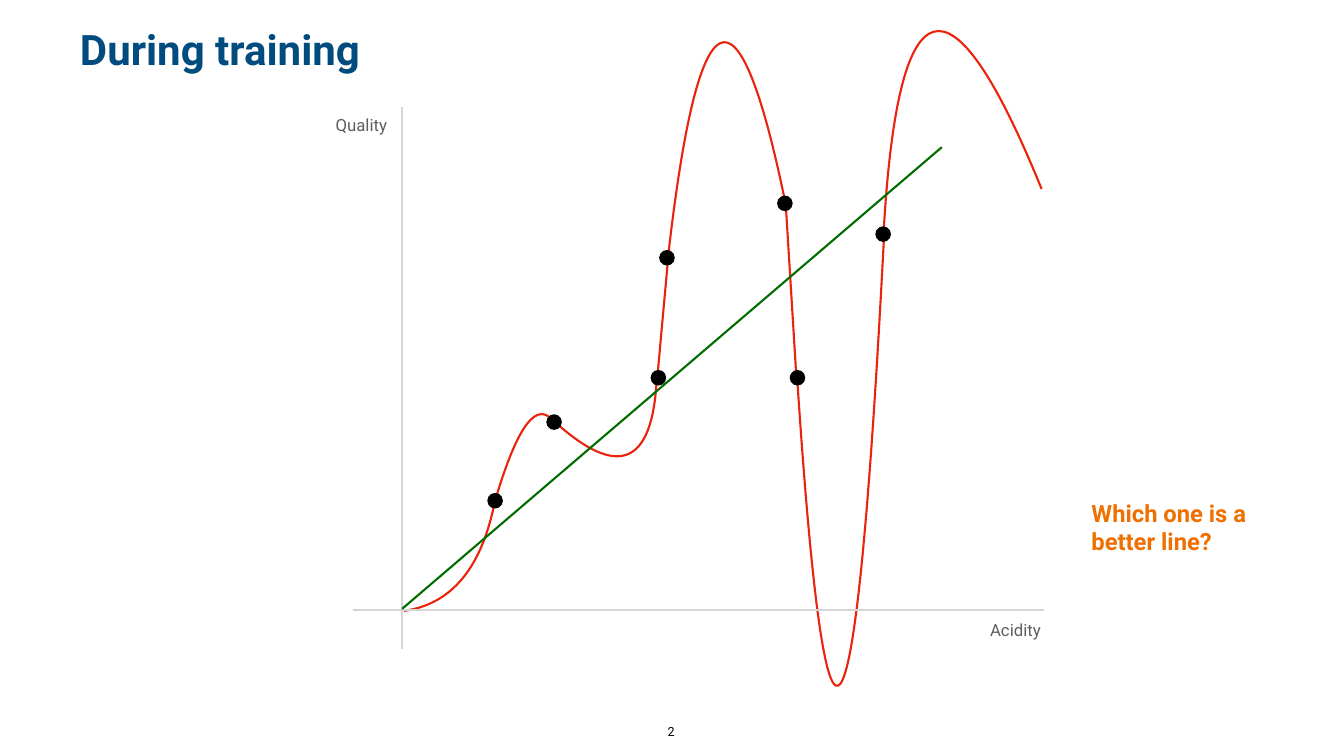
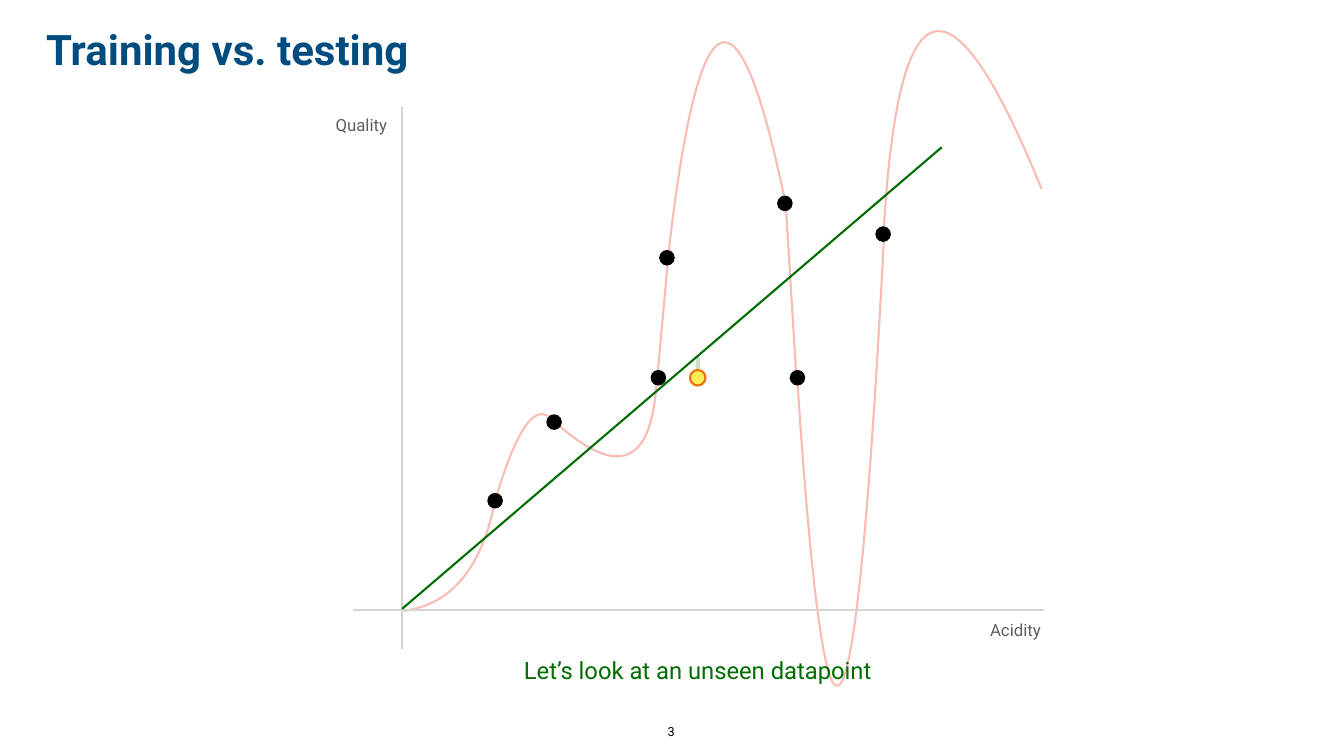
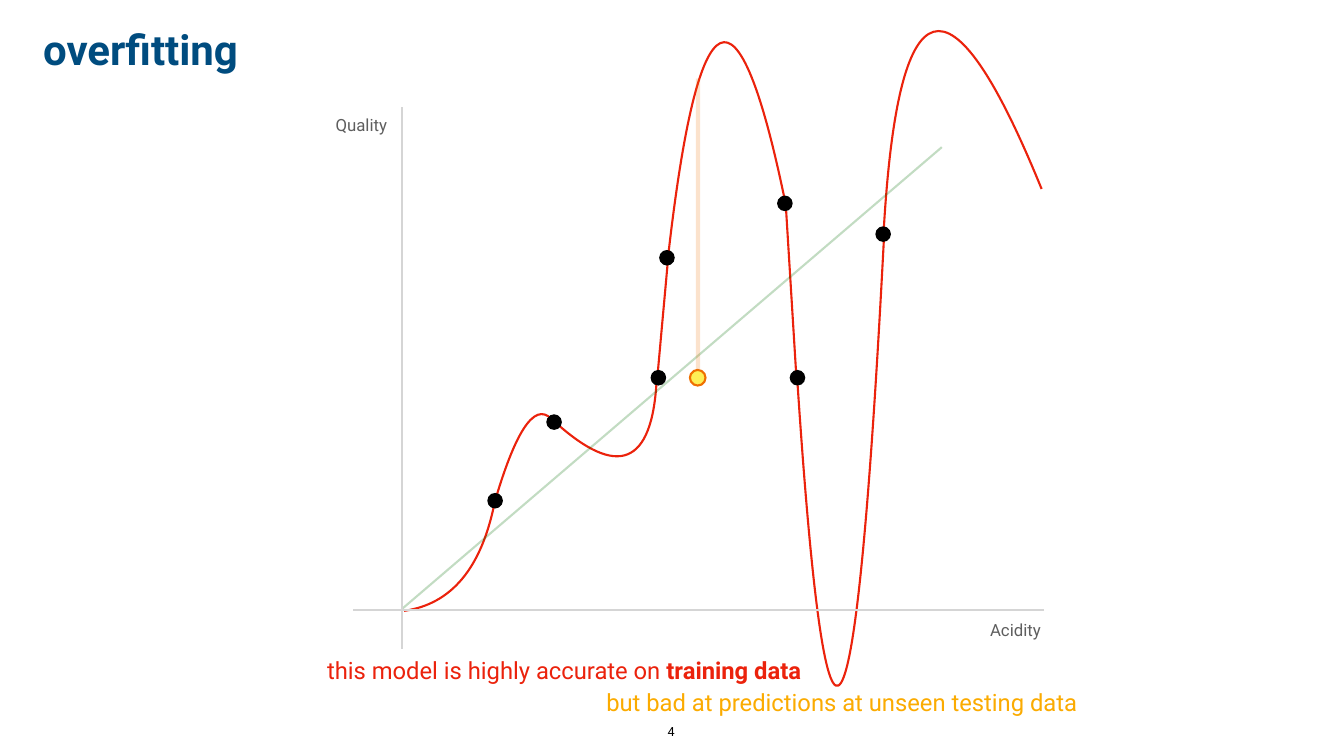
from pptx import Presentation
from pptx import util as u
from pptx.dml.color import RGBColor
from pptx.enum import shapes, text
from pptx.oxml.ns import qn
from lxml import etree

INK = {"title": "004C7F", "curve": "EB220C", "fit": "016D01", "axis": "D5D5D5",
       "label": "5E5E5E", "dot": "000000", "test": "FEEF56", "ask": "EF7001",
       "warn": "FBAB01", "page": "000000"}
FONT = "Roboto"
DOT = 0.31
TEST = (13.69, 7.34)
DOTS = [(12.91, 7.34), (13.08, 4.96), (15.67, 7.34), (9.67, 9.78),
        (10.84, 8.22), (15.42, 3.88), (17.37, 4.49)]
CURVE = [
    [(8.02, 12.12), (8.96, 11.99), (9.56, 11.27), (9.82, 9.95)],
    [(11.01, 8.4), (10.67, 7.9), (10.27, 8.42), (9.82, 9.95)],
    [(13.03, 7.55), (12.94, 9.23), (12.26, 9.5), (11.01, 8.37)],
    [(13.04, 7.53), (13.26, 5.1)],
    [(15.58, 4), (14.64, -0.55), (13.86, -0.19), (13.26, 5.07)],
    [(15.8, 7.43), (15.59, 4.02)],
    [(15.82, 7.52), (16.41, 16.48), (16.98, 15.55), (17.54, 4.74)],
    [(20.67, 3.75), (18.85, -0.72), (17.81, -0.41), (17.53, 4.69)],
]
AXES = [((7.97, 12.87), (7.97, 2.13)), ((20.72, 12.1), (7.01, 12.1))]
FIT = ((7.98, 12.08), (18.69, 2.92))
LABELS = [("Acidity", (19.56, 12.24, 1.18, 0.5)), ("Quality", (6.57, 2.23, 1.2, 0.5))]

SLIDES = [
    {"title": "During training", "wide": 7.93, "curve": 100, "fit": 100, "under": False,
     "notes": [([("Which one is a better line?", True)], (21.6, 9.84, 3.44, 1.24), "ask", "LEFT")]},
    {"title": "Training vs. testing", "wide": 8.22, "curve": 29, "fit": 100, "under": False,
     "gap": (7.07, "fit"),
     "notes": [([("Let’s look at an unseen datapoint", False)], (9.69, 12.95, 8.31, 0.68), "fit", "CENTER")]},
    {"title": "overfitting", "wide": 4.78, "curve": 100, "fit": 24, "under": True,
     "gap": (1.56, "ask"),
     "notes": [([("this model is highly accurate on ", False), ("training data", True)],
                (6.31, 12.96, 9.77, 0.67), "curve", "CENTER"),
               ([("but bad at predictions at unseen testing data", False)],
                (11.63, 13.59, 10.15, 0.68), "warn", "CENTER")]},
]


def rgb(name):
    return RGBColor.from_string(INK[name])


def stroke(line, ink, width=3, alpha=100):
    line.color.rgb = rgb(ink)
    line.width = u.Pt(width)
    if alpha < 100:
        tone = line._ln.find(".//" + qn("a:srgbClr"))
        etree.SubElement(tone, qn("a:alpha"), val=str(alpha * 1000))


def write(box, parts, size, ink, align="CENTER", anchor="MIDDLE"):
    frame = box.text_frame
    frame.word_wrap = True
    frame.auto_size = text.MSO_AUTO_SIZE.SHAPE_TO_FIT_TEXT
    frame.vertical_anchor = text.MSO_ANCHOR[anchor]
    frame.margin_left = frame.margin_right = u.Inches(0.06)
    frame.margin_top = frame.margin_bottom = u.Inches(0.06)
    para = frame.paragraphs[0]
    para.alignment = text.PP_ALIGN[align]
    for words, bold in parts:
        run = para.add_run()
        run.text = words
        run.font.name, run.font.size, run.font.bold = FONT, u.Pt(size), bold
        run.font.color.rgb = rgb(ink)


def label(slide, parts, spot, *style):
    write(slide.shapes.add_textbox(*map(u.Inches, spot)), parts, *style)


def link(slide, ends, ink, width=3, alpha=100):
    start, end = ends
    line = slide.shapes.add_connector(shapes.MSO_CONNECTOR.STRAIGHT,
                                      *map(u.Inches, start + end))
    stroke(line.line, ink, width, alpha)
    etree.SubElement(line._element.spPr, qn("a:effectLst"))


def dot(slide, spot, ink, rim=None):
    ball = slide.shapes.add_shape(shapes.MSO_SHAPE.OVAL,
                                  *map(u.Inches, spot + (DOT, DOT)))
    ball.shadow.inherit = False
    ball.fill.solid()
    ball.fill.fore_color.rgb = rgb(ink)
    if rim:
        stroke(ball.line, rim)
    else:
        ball.line.fill.background()


def bezier(knots, t):
    if len(knots) == 1:
        return knots[0]
    pairs = zip(knots, knots[1:])
    return bezier([tuple(a + (b - a) * t for a, b in zip(p, q)) for p, q in pairs], t)


def piece(group, knots, alpha):
    knots = [tuple(map(u.Inches, knot)) for knot in knots]
    steps = 60 if len(knots) == 4 else 1
    build = group.shapes.build_freeform(*knots[0])
    build.add_line_segments([bezier(knots, i / steps) for i in range(1, steps + 1)], close=False)
    part = build.convert_to_shape()
    part.shadow.inherit = False
    part.fill.background()
    stroke(part.line, "curve", 3, alpha)
    if steps > 1:
        track = part._element.find(".//" + qn("a:pathLst"))[0]
        for node in track.findall(qn("a:lnTo")):
            track.remove(node)
        bend = etree.SubElement(track, qn("a:cubicBezTo"))
        for x, y in knots[1:]:
            etree.SubElement(bend, qn("a:pt"), x=str(x - part.left), y=str(y - part.top))


def models(slide, page):
    link(slide, FIT, "fit", 3, page["fit"])
    if "gap" in page:
        top, ink = page["gap"]
        link(slide, ((13.85, 7.33), (13.85, top)), ink, 6, 20)


def draw(deck, page, number):
    slide = deck.slides.add_slide(deck.slide_layouts[5])
    head = slide.shapes.title
    head.left, head.top = u.Inches(0.4), u.Inches(0.4)
    head.width, head.height = u.Inches(page["wide"]), u.Inches(1.12)
    write(head, [(page["title"], True)], 60, "title")

    group = slide.shapes.add_group_shape()
    for knots in CURVE:
        piece(group, knots, page["curve"])
    if page["under"]:
        models(slide, page)
    for ends in AXES:
        link(slide, ends, "axis")
    for words, spot in LABELS:
        label(slide, [(words, False)], spot, 24, "label")
    for spot in DOTS:
        dot(slide, spot, "dot")
    if not page["under"]:
        models(slide, page)
    if "gap" in page:
        dot(slide, TEST, "test", "ask")
    for parts, spot, ink, align in page["notes"]:
        label(slide, parts, spot, 34, ink, align)
    label(slide, [(str(number), False)], (13.12, 14.31, 0.4, 0.41), 18, "page", "CENTER", "BOTTOM")


def main():
    deck = Presentation()
    deck.slide_width, deck.slide_height = u.Inches(26.67), u.Inches(15)
    for number, page in enumerate(SLIDES, 2):
        draw(deck, page, number)
    deck.save("out.pptx")


if __name__ == "__main__":
    main()
